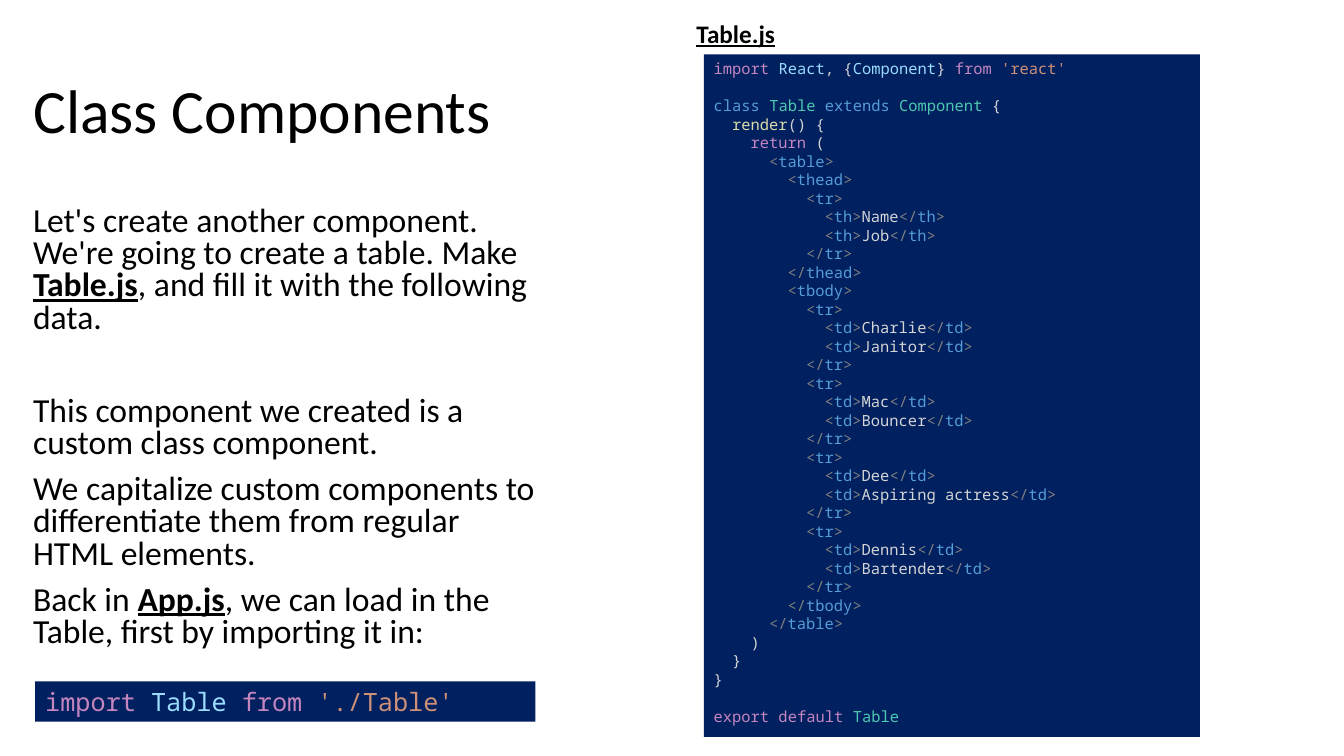
"""Build the "Class Components" slide with its two code panels."""
from dataclasses import dataclass

from pptx import Presentation
from pptx import util as u
from pptx.dml.color import RGBColor
from pptx.enum import shapes, text

CELL = u.Inches(0.1)
BLACK = RGBColor(0x00, 0x00, 0x00)
NAVY = RGBColor(0x00, 0x20, 0x60)
KEYWORD = RGBColor(0xC5, 0x86, 0xC0)
VARIABLE = RGBColor(0x9C, 0xDC, 0xFE)
PLAIN = RGBColor(0xD4, 0xD4, 0xD4)
STRING = RGBColor(0xCE, 0x91, 0x78)
TAG = RGBColor(0x56, 0x9C, 0xD6)
TYPE = RGBColor(0x4E, 0xC9, 0xB0)
METHOD = RGBColor(0xDC, 0xDC, 0xAA)
BRACKET = RGBColor(0x80, 0x80, 0x80)
PROSE_FONT = "Calibri"
CODE_FONT = "Noto Sans Mono"
CODE_LEADING = 1.2
INDENT_WIDTH = 1.2
STRONG = {"bold": True, "underline": True}


@dataclass(frozen=True)
class Area:
    left: float
    top: float
    columns: float
    rows: float

    def lengths(self) -> tuple[int, ...]:
        return tuple(round(n * CELL) for n in (self.left, self.top, self.columns, self.rows))


@dataclass(frozen=True)
class Span:
    words: str
    color: RGBColor = BLACK
    strong: bool = False


@dataclass(frozen=True)
class Line:
    spans: list[Span]
    depth: int = 0
    before: float = 0


@dataclass(frozen=True)
class Panel:
    area: Area
    size: float
    lines: list[Line]


def opening(name: str) -> list[Span]:
    return [Span("<", BRACKET), Span(name, TAG), Span(">", BRACKET)]


def closing(name: str) -> list[Span]:
    return [Span("</", BRACKET), Span(name, TAG), Span(">", BRACKET)]


def element(name: str, depth: int, children: list[Line]) -> list[Line]:
    return [Line(opening(name), depth), *children, Line(closing(name), depth)]


def table_row(cell: str, values: tuple[str, ...]) -> list[Line]:
    cells = [Line([*opening(cell), Span(value, PLAIN), *closing(cell)], 6) for value in values]
    return element("tr", 5, cells)


PEOPLE = [("Charlie", "Janitor"), ("Mac", "Bouncer"),
          ("Dee", "Aspiring actress"), ("Dennis", "Bartender")]
BODY_ROWS = [line for person in PEOPLE for line in table_row("td", person)]
HEAD = element("thead", 4, table_row("th", ("Name", "Job")))
BODY = element("tbody", 4, BODY_ROWS)

TABLE_CODE = [
    Line([Span("import ", KEYWORD), Span("React", VARIABLE), Span(", {", PLAIN),
          Span("Component", VARIABLE), Span("} ", PLAIN), Span("from ", KEYWORD),
          Span("'react'", STRING)]),
    Line([Span("class ", TAG), Span("Table ", TYPE), Span("extends ", TAG),
          Span("Component", TYPE), Span(" {", PLAIN)], before=13.2),
    Line([Span("render", METHOD), Span("() {", PLAIN)], 1),
    Line([Span("return", KEYWORD), Span(" (", PLAIN)], 2),
    *element("table", 3, HEAD + BODY),
    Line([Span(")", PLAIN)], 2),
    Line([Span("}", PLAIN)], 1),
    Line([Span("}", PLAIN)]),
    Line([Span("export default ", KEYWORD), Span("Table", TYPE)], before=13.2),
]
IMPORT_CODE = [Line([Span("import ", KEYWORD), Span("Table ", VARIABLE),
                     Span("from ", KEYWORD), Span("'./Table'", STRING)])]
PANELS = [Panel(Area(69.8, 5.4, 49.2, 67.7), 11, TABLE_CODE),
          Panel(Area(3.5, 67.6, 49.6, 4), 18, IMPORT_CODE)]

EXPLANATION = [
    Line([Span("Let's create another component. We're going to create a table. Make "),
          Span("Table.js", strong=True),
          Span(", and fill it with the following data.")], before=10),
    Line([Span("This component we created is a custom class component.")], before=43.4),
    Line([Span("We capitalize custom components to differentiate them from regular "
               "HTML elements.")], before=10),
    Line([Span("Back in "), Span("App.js", strong=True),
          Span(", we can load in the Table, first by importing it in:")], before=10),
]


def write(box, lines: list[Line], font: str, size: float, spacing,
          anchor=text.MSO_ANCHOR.TOP) -> None:
    """Fill a box with formatted lines."""
    frame = box.text_frame
    frame_format = {"word_wrap": True, "auto_size": text.MSO_AUTO_SIZE.NONE,
                    "vertical_anchor": anchor}
    for name, value in frame_format.items():
        setattr(frame, name, value)
    for number, line in enumerate(lines):
        para = frame.add_paragraph() if number else frame.paragraphs[0]
        para_format = {"alignment": text.PP_ALIGN.LEFT, "line_spacing": spacing,
                       "space_before": u.Pt(line.before), "space_after": u.Pt(0)}
        for name, value in para_format.items():
            setattr(para, name, value)
        if line.depth:
            properties = para._p.get_or_add_pPr()
            properties.set("marL", str(u.Pt(line.depth * INDENT_WIDTH * size)))
            properties.set("indent", "0")
        for part in line.spans:
            span = para.add_run()
            span.text = part.words
            span_format = {"name": font, "size": u.Pt(size), **(STRONG if part.strong else {})}
            for name, value in span_format.items():
                setattr(span.font, name, value)
            span.font.color.rgb = part.color


def draw_panel(page, panel: Panel) -> None:
    """Draw a navy rectangle holding code."""
    box = page.shapes.add_shape(shapes.MSO_SHAPE.RECTANGLE, *panel.area.lengths())
    box.shadow.inherit = False
    box.fill.solid()
    box.fill.fore_color.rgb = NAVY
    box.line.fill.background()
    write(box, panel.lines, CODE_FONT, panel.size, u.Pt(panel.size * CODE_LEADING))


def main() -> None:
    """Assemble and save the deck."""
    deck = Presentation()
    deck.slide_width, deck.slide_height = u.Inches(13.33), u.Inches(7.5)
    page = deck.slides.add_slide(deck.slide_layouts[5])
    title = page.shapes.title
    title.left, title.top, title.width, title.height = Area(2.3, 4, 60, 14.5).lengths()
    write(title, [Line([Span("Class Components")])], PROSE_FONT, 44, 0.9,
          text.MSO_ANCHOR.MIDDLE)
    explanation = page.shapes.add_textbox(*Area(2.3, 20, 52, 47.6).lengths())
    write(explanation, EXPLANATION, PROSE_FONT, 24, 0.8)
    file_label = page.shapes.add_textbox(*Area(68.1, 1.3, 65, 4).lengths())
    write(file_label, [Line([Span("Table.js", strong=True)])], PROSE_FONT, 18, 1.0)
    for panel in PANELS:
        draw_panel(page, panel)
    deck.save("out.pptx")


if __name__ == "__main__":
    main()
